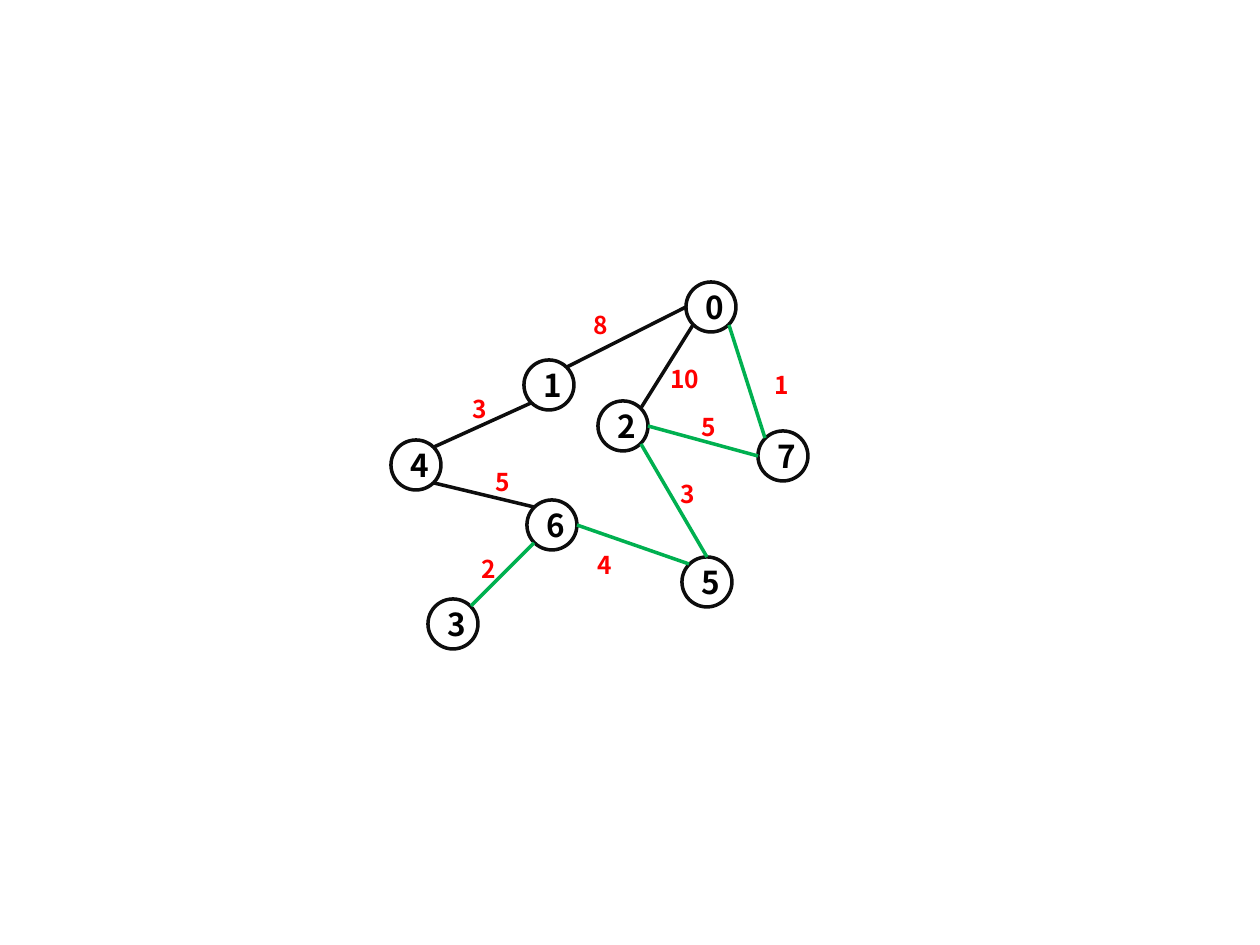
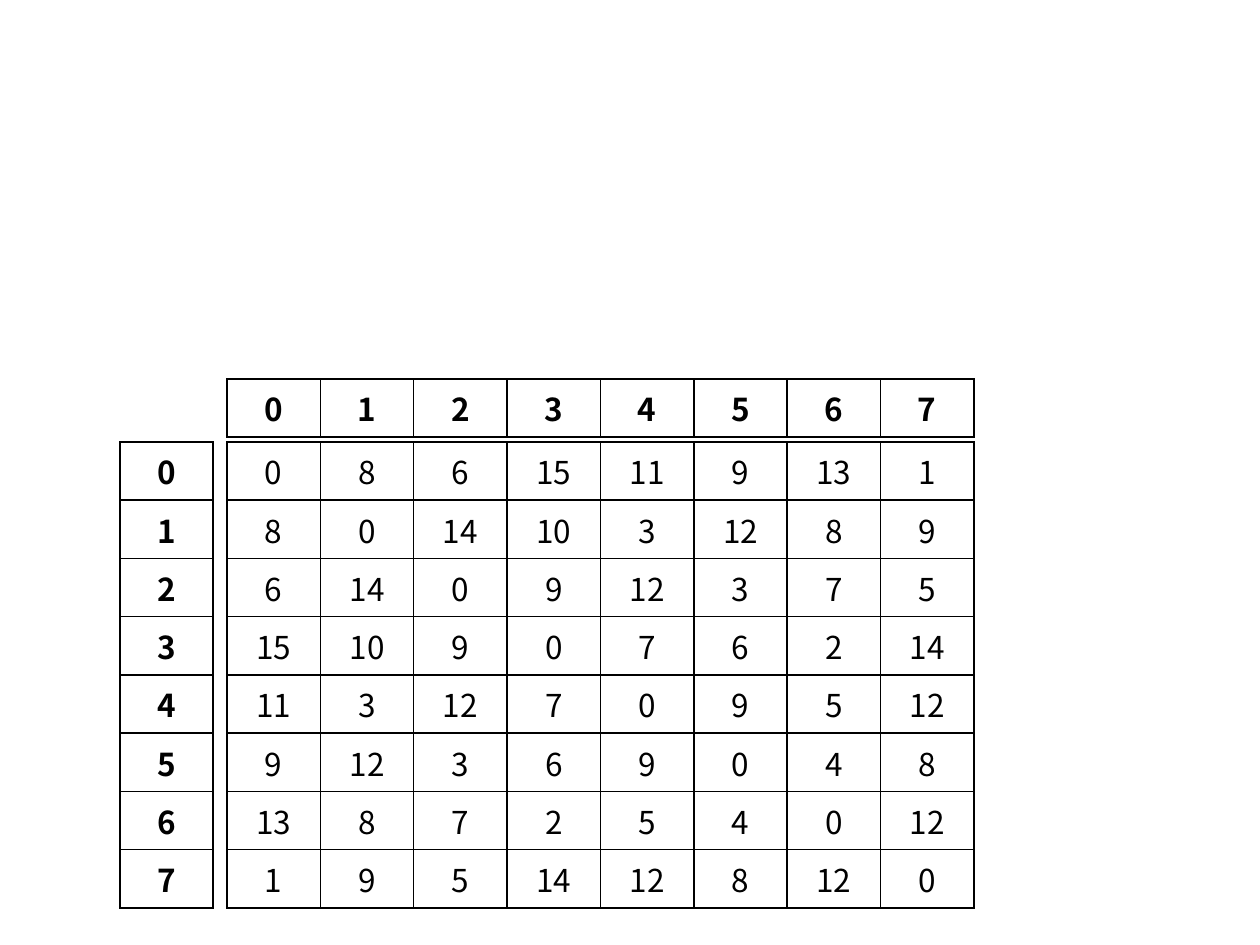
import math
from dataclasses import dataclass

import pptx
import pptx.dml.color
import pptx.enum.shapes
import pptx.enum.text
import pptx.oxml
import pptx.oxml.ns
import pptx.util
from lxml import etree

PX = 914400 // 126  # EMU in one px


@dataclass(frozen=True)
class Theme:
    font: str = "Noto Sans CJK KR"
    ink: str = "000000"
    outline: str = "0D0D0D"
    chosen: str = "00B050"
    weight: str = "FF0000"
    body_size: int = 18
    weight_size: int = 14
    line_width: int = 2
    border_width: int = 1


theme = Theme()
CENTER = pptx.enum.text.PP_ALIGN.CENTER


def write(frame, text, size, color, bold, align=None):
    """Put one formatted run into a text frame."""
    paragraph = frame.paragraphs[0]
    paragraph.alignment = align
    run = paragraph.add_run()
    run.text = text
    run.font.color.rgb = pptx.dml.color.RGBColor.from_string(color)
    formats = {"name": theme.font, "size": pptx.util.Pt(size), "bold": bold}
    for attribute, value in formats.items():
        setattr(run.font, attribute, value)


def set_line(line, color):
    line.color.rgb = pptx.dml.color.RGBColor.from_string(color)
    line.width = pptx.util.Pt(theme.line_width)


deck = pptx.Presentation()
deck.slide_width, deck.slide_height = 1260 * PX, 945 * PX
blank = deck.slide_layouts[6]

# Slide 1: weighted graph
graph = deck.slides.add_slide(blank).shapes.add_group_shape().shapes

# Nodes: number -> left, top
DIAMETER = 50
nodes = {
    1: (524, 360), 0: (686, 282), 4: (391, 440), 3: (428, 599),
    6: (527, 500), 7: (758, 431), 2: (598, 401), 5: (682, 557),
}
for number, (left, top) in nodes.items():
    node = graph.add_shape(
        pptx.enum.shapes.MSO_SHAPE.OVAL,
        left * PX, top * PX, DIAMETER * PX, DIAMETER * PX)
    node.shadow.inherit = False
    node.fill.background()
    set_line(node.line, theme.outline)
    node.text_frame.vertical_anchor = pptx.enum.text.MSO_ANCHOR.MIDDLE
    write(node.text_frame, str(number), theme.body_size, theme.ink, True, CENTER)

# Edges run between points on the rims, given as compass directions
bearings = {"E": 0, "SE": 45, "SW": 135, "W": 180, "NW": 225, "N": 270, "NE": 315}
edges = [
    (0, "SW", 2, "NE", theme.outline),
    (0, "SE", 7, "NW", theme.chosen),
    (5, "N", 2, "SE", theme.chosen),
    (5, "NW", 6, "E", theme.chosen),
    (7, "W", 2, "E", theme.chosen),
    (0, "W", 1, "NE", theme.outline),
    (1, "SW", 4, "NE", theme.outline),
    (6, "NW", 4, "SE", theme.outline),
    (6, "SW", 3, "NE", theme.chosen),
]
for start, start_side, end, end_side, color in edges:
    ends = []
    for number, side in ((start, start_side), (end, end_side)):
        angle = math.radians(bearings[side])
        left, top = nodes[number]
        ends.append(round(left + DIAMETER / 2 * (1 + math.cos(angle))) * PX)
        ends.append(round(top + DIAMETER / 2 * (1 + math.sin(angle))) * PX)
    edge = graph.add_connector(pptx.enum.shapes.MSO_CONNECTOR.STRAIGHT, *ends)
    set_line(edge.line, color)
    etree.SubElement(edge._element.spPr, pptx.oxml.ns.qn("a:effectLst"))

# Edge weights: text, left, top
weights = [
    ("10", 658, 358), ("8", 581, 304), ("3", 460, 388),
    ("4", 585, 544), ("2", 469, 548), ("5", 483, 461),
    ("1", 762, 364), ("5", 689, 406), ("3", 668, 473),
]
for text, left, top in weights:
    width = 54 if len(text) == 2 else 37
    label = graph.add_textbox(left * PX, top * PX, width * PX, 43 * PX)
    label.text_frame.auto_size = pptx.enum.text.MSO_AUTO_SIZE.SHAPE_TO_FIT_TEXT
    write(label.text_frame, text, theme.weight_size, theme.weight, True)

# Slide 2: distance matrix with separate header tables
matrix_slide = deck.slides.add_slide(blank)
distances = [
    [0, 8, 6, 15, 11, 9, 13, 1],
    [8, 0, 14, 10, 3, 12, 8, 9],
    [6, 14, 0, 9, 12, 3, 7, 5],
    [15, 10, 9, 0, 7, 6, 2, 14],
    [11, 3, 12, 7, 0, 9, 5, 12],
    [9, 12, 3, 6, 9, 0, 4, 8],
    [13, 8, 7, 2, 5, 4, 0, 12],
    [1, 9, 5, 14, 12, 8, 12, 0],
]
numbers = range(len(distances))
MATRIX_LEFT, MATRIX_TOP = 227, 442
ROW_HEIGHT, MATRIX_WIDTH, HEADER_WIDTH = 51, 747, 93

# Values, left, top, width, bold
tables = [
    (distances, MATRIX_LEFT, MATRIX_TOP, MATRIX_WIDTH, False),
    ([list(numbers)], MATRIX_LEFT, 379, MATRIX_WIDTH, True),
    ([[number] for number in numbers], 120, MATRIX_TOP, HEADER_WIDTH, True),
]
for values, left, top, width, bold in tables:
    table = matrix_slide.shapes.add_table(
        len(values), len(values[0]), left * PX, top * PX,
        width * PX, len(values) * ROW_HEIGHT * PX).table
    table.first_row = table.horz_banding = False
    for r, row in enumerate(values):
        for c, value in enumerate(row):
            cell = table.cell(r, c)
            write(cell.text_frame, str(value), theme.body_size, theme.ink, bold, CENTER)
            properties = cell._tc.get_or_add_tcPr()
            for side in ("lnL", "lnR", "lnT", "lnB"):
                properties.append(pptx.oxml.parse_xml(
                    f'<a:{side} {pptx.oxml.ns.nsdecls("a")} '
                    f'w="{pptx.util.Pt(theme.border_width)}"><a:solidFill>'
                    f'<a:srgbClr val="{theme.ink}"/></a:solidFill></a:{side}>'))
            cell.fill.background()

deck.save("out.pptx")
